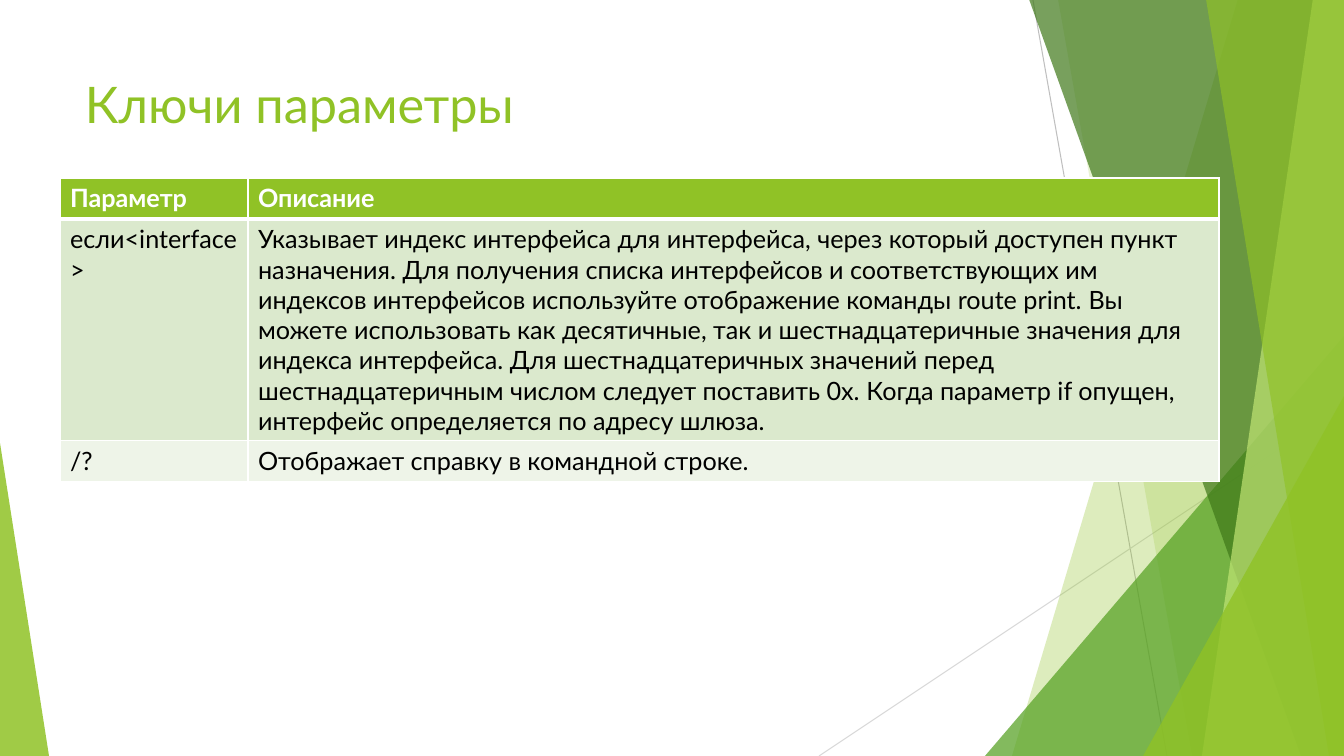
from lxml import etree
from pptx import Presentation, util as u
from pptx.dml.color import RGBColor
from pptx.enum import shapes, text
from pptx.oxml.ns import qn

PX = 914400 / 100.8
W, H = 1344, 756
FONT = "Lato"
COLORS = {
    "green": "90C226", "mid": "54A021", "dark": "3F7819", "light": "C0E474",
    "gray": "BFBFBF", "pale_gray": "D9D9D9", "white": "FFFFFF",
    "black": "000000", "band1": "DBE9CD", "band2": "EEF4E8",
}
ROWS = [
    ("Параметр", "Описание"),
    ("если<interface>",
     "Указывает индекс интерфейса для интерфейса, через который доступен пункт "
     "назначения.\u00a0Для получения списка интерфейсов и соответствующих им "
     "индексов интерфейсов используйте отображение команды route print.\u00a0Вы "
     "можете использовать как десятичные, так и шестнадцатеричные значения для "
     "индекса интерфейса.\u00a0Для шестнадцатеричных значений перед "
     "шестнадцатеричным числом следует поставить 0x.\u00a0Когда параметр if опущен, "
     "интерфейс определяется по адресу шлюза."),
    ("/?", "Отображает справку в командной строке."),
]


def px(*values):
    return [u.Emu(round(v * PX)) for v in values]


def rgb(name):
    return RGBColor.from_string(COLORS[name])


def set_font(p, size, color, bold=False):
    p.font.name, p.font.size, p.font.bold = FONT, u.Pt(size), bold
    p.font.color.rgb = rgb(color)


def paint(sp, color, alpha):
    sp.shadow.inherit = False
    sp.line.fill.background()
    sp.fill.solid()
    sp.fill.fore_color.rgb = rgb(color)
    clr = sp.fill._xPr.find(qn("a:solidFill"))[0]
    etree.SubElement(clr, qn("a:alpha"), val=str(alpha * 1000))


def add_decor(s, x, y, w, h):
    def line(x1, y1, x2, y2, color):
        ends = px(x + x1, y + y1, x + x2, y + y2)
        c = s.shapes.add_connector(shapes.MSO_CONNECTOR.STRAIGHT, *ends)
        c.line.color.rgb = rgb(color)
        c.line.width = u.Pt(0.75)
        etree.SubElement(c._element.spPr, qn("a:effectLst"))

    # Facet: slanted left side, the other sides on the box edge
    def facet(top_x, bottom_x, color, alpha):
        corners = [(top_x, -1), (w, -1), (w, h), (bottom_x, h)]
        points = [tuple(px(x + a, y + b)) for a, b in corners]
        fb = s.shapes.build_freeform(*points[0], scale=1.0)
        fb.add_line_segments(points[1:], close=True)
        paint(fb.convert_to_shape(), color, alpha)

    # Triangle: stands on the bottom edge, apex at 0 (left) to 1 (right)
    def triangle(left, width, height, apex, color, alpha):
        box = px(x + left, y + h - height, width, height)
        sp = s.shapes.add_shape(shapes.MSO_SHAPE.ISOSCELES_TRIANGLE, *box)
        sp.adjustments[0] = apex
        paint(sp, color, alpha)

    line(1033, 0, 1167, h, "gray")
    line(w, 406, 819, h, "pale_gray")
    facet(1238, 1012, "green", 30)
    facet(1058, 1192, "green", 20)
    triangle(985, 359, 420, 1, "mid", 72)
    facet(1029, 1301, "dark", 70)
    facet(1313, 1202, "light", 70)
    facet(1206, 1329, "green", 65)
    triangle(1143, 201, 360, 1, "green", 80)
    triangle(0, 49, 313, 0, "green", 85)


def add_title(s, x, y, w, h):
    tf = s.shapes.add_textbox(*px(x, y, w, h)).text_frame
    tf.word_wrap = True
    tf.vertical_anchor = text.MSO_ANCHOR.TOP
    p = tf.paragraphs[0]
    p.text = "Ключи параметры"
    set_font(p, 36, "green")


def set_borders(cell, **widths):
    tcPr = cell._tc.get_or_add_tcPr()
    for i, side in enumerate("LRTB"):
        ln = etree.Element(qn("a:ln" + side), w=str(u.Pt(widths.get(side, 1))))
        fill = etree.SubElement(ln, qn("a:solidFill"))
        etree.SubElement(fill, qn("a:srgbClr"), val=COLORS["white"])
        tcPr.insert(i, ln)


def add_params_table(s, x, y, w, h):
    head, first_col = 41, 188
    heights = [head, h - 2 * head, head]
    tbl = s.shapes.add_table(len(ROWS), 2, *px(x, y, w, h)).table
    for col, width in zip(tbl.columns, px(first_col, w - first_col)):
        col.width = width
    for row, height in zip(tbl.rows, px(*heights)):
        row.height = height
    # Header and bands
    fills = ["green", "band1", "band2"]
    borders = [{"B": 3}, {"T": 3}, {}]
    for r, words in enumerate(ROWS):
        for c, word in enumerate(words):
            cell = tbl.cell(r, c)
            cell.text = word
            cell.fill.solid()
            cell.fill.fore_color.rgb = rgb(fills[r])
            set_borders(cell, **borders[r])
            set_font(cell.text_frame.paragraphs[0], 18,
                     "black" if r else "white", bold=r == 0)


prs = Presentation()
prs.slide_width, prs.slide_height = px(W, H)
s = prs.slides.add_slide(prs.slide_layouts[6])
add_decor(s, 0, 0, W, H)
add_title(s, 75, 68, 948, 145)
add_params_table(s, 60, 178, 1159, 303)
prs.save("out.pptx")
